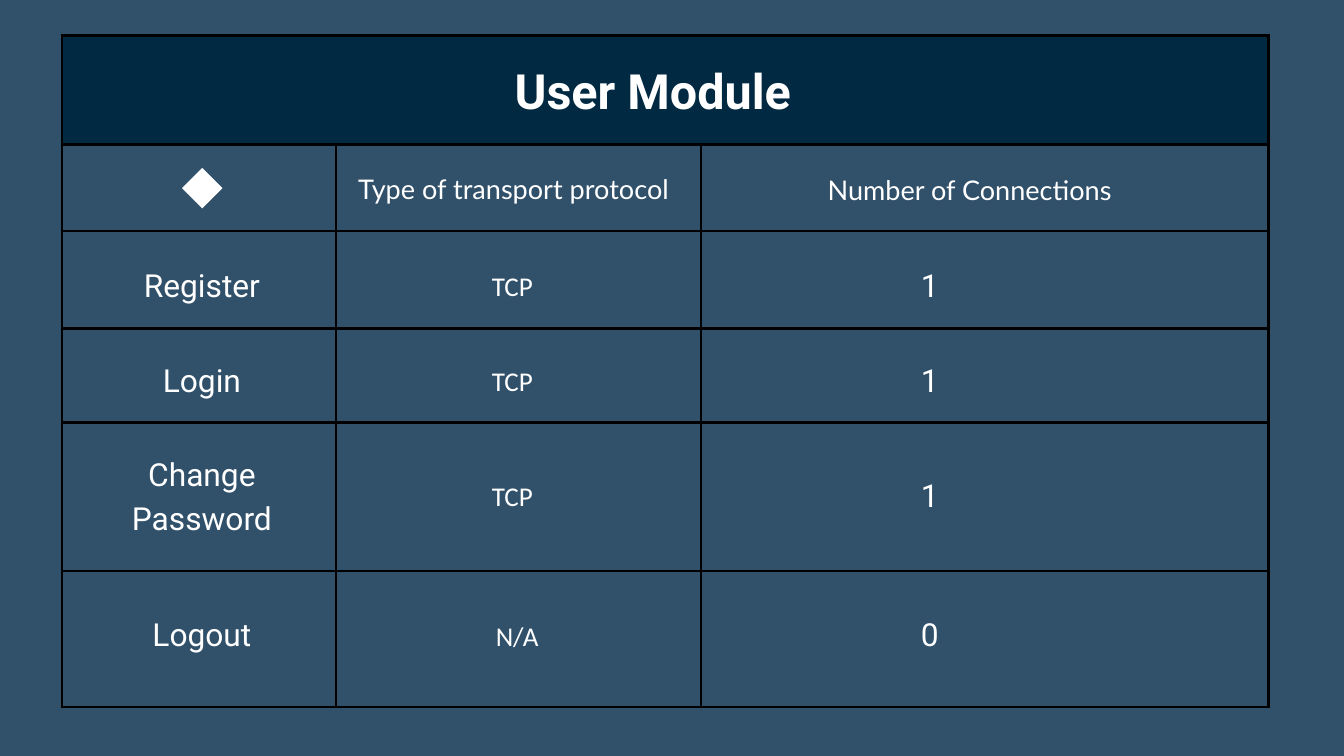
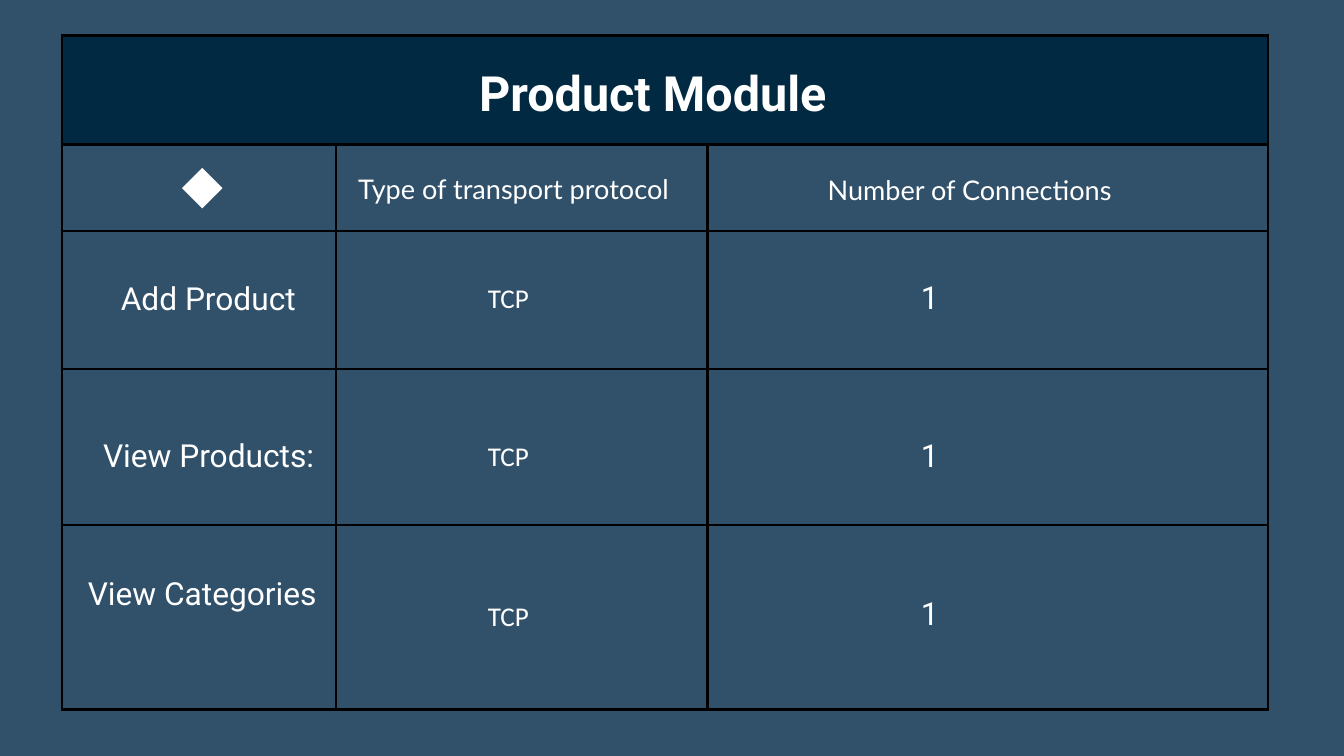
from lxml import etree
from pptx import Presentation
from pptx.dml.color import RGBColor
from pptx.enum import shapes, text
from pptx.oxml import ns
from pptx.util import Inches, Pt

# Colours
SLATE = RGBColor(0x31, 0x51, 0x6B)
NAVY = RGBColor(0x01, 0x29, 0x41)
WHITE = RGBColor(0xFF, 0xFF, 0xFF)
BLACK = RGBColor(0, 0, 0)

# Text styles: font attributes and exact line spacing in points
STYLES = {
    "title": ({"name": "Roboto", "size": Pt(52), "bold": True}, 72.8),
    "entry": ({"name": "Roboto", "size": Pt(34), "bold": False}, 47.6),
    "heading": ({"name": "Lato", "size": Pt(29), "bold": False}, 43.5),
    "protocol": ({"name": "Calibri", "size": Pt(29), "bold": False}, 43.5),
}
FRAME = {
    "word_wrap": True,
    "auto_size": text.MSO_AUTO_SIZE.NONE,
    "vertical_anchor": text.MSO_ANCHOR.TOP,
    "margin_left": 0,
    "margin_right": 0,
    "margin_top": 0,
    "margin_bottom": 0,
}

# What the two tables share
TABLE_LEFT, TABLE_TOP = 0.92, 0.53
HEADER_ROWS = [1.62, 1.29]
LINE_HEIGHT = 0.63
PROTOCOL_DROP = 0.6
HEADINGS = [
    ("Type of transport protocol ", (5.12, 2.45, 5.15, 0.58)),
    ("Number of Connections", (11.59, 2.46, 5.68, 1.17)),
]

# Entries: name and its box, protocol and its left and top, connections and their top
MODULES = [
    {
        "title": "User Module",
        "title_top": 0.76,
        "columns": [4.08, 5.43, 8.45],
        "rows": [1.45, 1.4, 2.21, 2.02],
        "entries": [
            ("Register", (1.46, 3.86, 3.09, LINE_HEIGHT), "TCP", (6.08, 3.29), "1", 3.86),
            ("Login", (1.46, 5.27, 3.09, LINE_HEIGHT), "TCP", (6.08, 4.7), "1", 5.27),
            ("Change Password", (1.46, 6.67, 3.09, 1.29), "TCP", (6.08, 6.42), "1", 6.99),
            ("Logout", (1.46, 9.06, 3.09, LINE_HEIGHT), "N/A", (6.15, 8.49), "0", 9.06),
        ],
    },
    {
        "title": "Product Module",
        "title_top": 0.8,
        "columns": [4.08, 5.53, 8.34],
        "rows": [2.05, 2.32, 2.75],
        "entries": [
            ("Add Product", (1.46, 4.05, 3.28, LINE_HEIGHT), "TCP", (6.02, 3.47), "1", 4.04),
            ("View Products:", (1.34, 6.39, 3.53, LINE_HEIGHT), "TCP", (6.02, 5.82), "1", 6.39),
            ("View Categories", (1.26, 8.44, 3.5, 1.29), "TCP", (6.02, 8.2), "1", 8.74),
        ],
    },
]


def inches(values):
    return [Inches(value) for value in values]


class ModuleDeck:
    """Holds the presentation, its style and the current slide."""

    def __init__(self):
        self.prs = Presentation()
        self.prs.slide_width, self.prs.slide_height = inches((20, 11.25))
        self.slide = None

    def new_slide(self):
        self.slide = self.prs.slides.add_slide(self.prs.slide_layouts[5])
        fill = self.slide.background.fill
        fill.solid()
        fill.fore_color.rgb = SLATE

    def set_text(self, shape, wording, style, drop=0):
        font_values, spacing = STYLES[style]
        frame = shape.text_frame
        for name, value in FRAME.items():
            setattr(frame, name, value)
        frame.margin_top = Inches(drop)
        line = frame.paragraphs[0]
        line.alignment = text.PP_ALIGN.CENTER
        line.line_spacing = Pt(spacing)
        run = line.add_run()
        run.text = wording
        for name, value in font_values.items():
            setattr(run.font, name, value)
        run.font.color.rgb = WHITE

    def title(self, wording, top):
        title = self.slide.shapes.title
        title.left, title.top, title.width, title.height = inches((0.92, top, 17.59, 0.97))
        self.set_text(title, wording, "title")
        # Bring the title in front of the table's header band
        title.element.getparent().append(title.element)

    def label(self, wording, box, style, drop=0):
        self.set_text(self.slide.shapes.add_textbox(*inches(box)), wording, style, drop)

    def diamond(self, box):
        diamond = self.slide.shapes.add_shape(shapes.MSO_SHAPE.DIAMOND, *inches(box))
        diamond.shadow.inherit = False
        diamond.fill.solid()
        diamond.fill.fore_color.rgb = WHITE
        diamond.line.fill.background()

    def border(self, cell):
        properties = cell._tc.get_or_add_tcPr()
        for side in ("lnL", "lnR", "lnT", "lnB"):
            line = etree.SubElement(properties, ns.qn(f"a:{side}"), w=str(Pt(3)))
            solid = etree.SubElement(line, ns.qn("a:solidFill"))
            etree.SubElement(solid, ns.qn("a:srgbClr"), val=str(BLACK))

    def grid(self, columns, rows):
        box = (TABLE_LEFT, TABLE_TOP, sum(columns), sum(rows))
        grid = self.slide.shapes.add_table(len(rows), len(columns), *inches(box)).table
        grid.first_row = grid.horz_banding = False
        for column, width in zip(grid.columns, inches(columns)):
            column.width = width
        for row, height in zip(grid.rows, inches(rows)):
            row.height = height
        for cell in grid.iter_cells():
            self.border(cell)
            cell.fill.background()
        header = grid.cell(0, 0)
        header.merge(grid.cell(0, len(columns) - 1))
        header.fill.solid()
        header.fill.fore_color.rgb = NAVY

    def module(self, module):
        self.new_slide()
        self.grid(module["columns"], HEADER_ROWS + module["rows"])

        # Header band and column headings
        self.title(module["title"], module["title_top"])
        self.diamond((2.71, 2.5, 0.6, 0.6))
        for heading, box in HEADINGS:
            self.label(heading, box, "heading")

        # One row per operation
        for name, name_box, protocol, corner, connections, top in module["entries"]:
            self.label(name, name_box, "entry")
            self.label(protocol, (*corner, 3.09, 1.75), "protocol", PROTOCOL_DROP)
            self.label(connections, (12.25, top, 3.17, LINE_HEIGHT), "entry")


def main():
    deck = ModuleDeck()
    for module in MODULES:
        deck.module(module)
    deck.prs.save("out.pptx")


if __name__ == "__main__":
    main()
